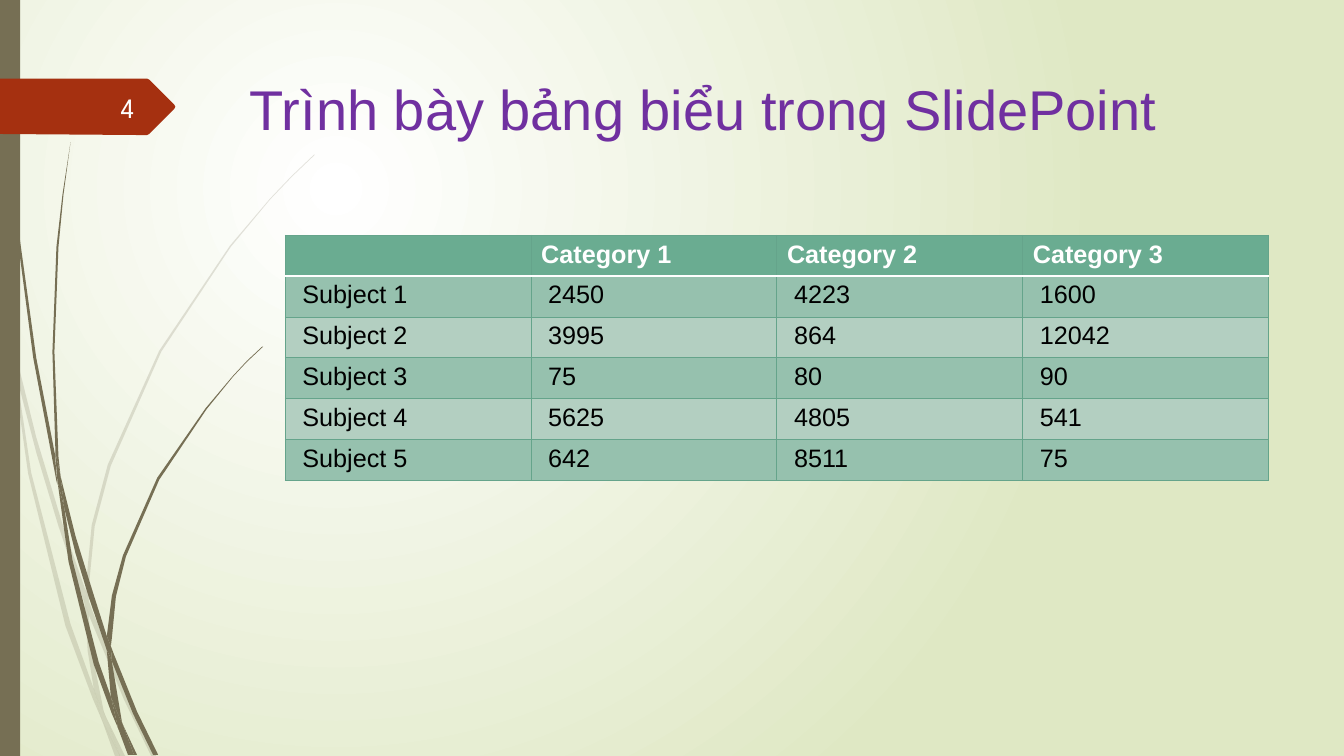
from dataclasses import dataclass

from lxml import etree
from pptx import Presentation
from pptx import util as u
from pptx.dml import color
from pptx.enum import shapes, text
from pptx.oxml import ns

GRID = 0.72  # points per step of the grid the outlines are drawn on
OLIVE, RED, PURPLE, WHITE, BLACK = "766F54", "A53010", "7030A0", "FFFFFF", "000000"
HEADER_GREEN, BAND_GREEN, PALE_GREEN, BORDER_GREEN = "6AAC91", "96C1AE", "B3CFC1", "65A48B"


@dataclass(frozen=True)
class Outline:
    points: list[tuple[int, int]]
    colour: str = OLIVE
    opacity: int = 100


@dataclass(frozen=True)
class Label:
    words: str
    left: float
    top: float
    width: float
    height: float
    font: str
    size: int
    colour: str
    align: text.PP_ALIGN = text.PP_ALIGN.LEFT
    anchor: text.MSO_ANCHOR = text.MSO_ANCHOR.TOP


@dataclass(frozen=True)
class Border:
    colour: str
    width: float


PALE_GRASS = [
    [(58, 522), (84, 599), (85, 586), (62, 520), (36, 434), (14, 345), (17, 376), (36, 449)],
    [(92, 607), (88, 596), (88, 610), (123, 694), (150, 750), (155, 750), (127, 692)],
    [(119, 750), (124, 750), (105, 711)],
    [(93, 683), (70, 619), (31, 469), (17, 376), (11, 350), (28, 470), (65, 621),
     (92, 693), (101, 714), (99, 707)],
    [(84, 599), (87, 646), (93, 683), (96, 692), (105, 711), (103, 706), (91, 646),
     (88, 610), (88, 608)],
    [(88, 584), (94, 522), (110, 462), (160, 349), (229, 245), (268, 198), (290, 175),
     (312, 154), (312, 153), (289, 175), (268, 197), (228, 244), (158, 348), (107, 461),
     (91, 521), (85, 584), (85, 586), (88, 596)],
    [(101, 714), (114, 750), (119, 750)],
    [(88, 608), (88, 610), (88, 596), (85, 586), (84, 599)],
    [(96, 692), (93, 683), (99, 707), (101, 714), (119, 750), (105, 711)],
]
DARK_GRASS = [
    [(7, 110), (17, 233), (33, 355), (56, 477), (57, 481), (55, 457), (55, 453), (36, 355),
     (19, 232), (8, 109), (5, 48), (4, 0), (3, 0), (4, 48)],
    [(88, 592), (106, 645), (106, 633), (106, 631), (93, 590), (75, 532), (60, 472),
     (64, 505), (75, 549)],
    [(113, 649), (110, 641), (111, 656), (132, 708), (152, 749), (157, 749), (136, 706)],
    [(110, 691), (98, 657), (72, 556), (64, 505), (57, 477), (68, 557), (93, 659),
     (111, 708), (117, 722), (116, 717)],
    [(60, 472), (58, 453), (54, 349), (58, 245), (63, 193), (70, 141), (62, 193),
     (56, 245), (52, 349), (55, 449)],
    [(133, 749), (136, 749), (122, 719)],
    [(57, 477), (64, 505), (60, 472), (55, 449), (55, 453)],
    [(111, 633), (115, 592), (125, 552), (158, 476), (205, 406), (231, 374), (245, 359),
     (261, 344), (260, 344), (245, 358), (231, 373), (204, 405), (156, 474), (122, 551),
     (111, 591), (106, 631), (110, 641)],
    [(117, 722), (127, 749), (131, 749)],
    [(106, 645), (110, 691), (116, 706), (122, 719), (121, 716), (111, 656), (109, 651)],
    [(106, 645), (109, 651), (111, 656), (110, 641), (106, 631), (106, 633)],
    [(116, 706), (110, 691), (116, 717), (117, 722), (130, 749), (133, 749), (122, 719)],
]
NUMBER_FLAG = [(173, 108), (148, 133), (146, 134), (136, 134), (0, 133), (0, 78), (136, 78),
               (146, 78), (148, 79), (173, 104), (174, 106)]
LABELS = [
    Label("Trình bày bảng biểu trong SlidePoint", 171.4, 49.7, 702, 100.8, "Arial", 40, PURPLE),
    Label("4", 41.8, 61.9, 61.2, 28.8, "League Spartan", 20, "FEFFFF",
          text.PP_ALIGN.RIGHT, text.MSO_ANCHOR.MIDDLE),
]
TABLE_ROWS = [
    ["", "Category 1", "Category 2", "Category 3"],
    ["Subject 1", "2450", "4223", "1600"],
    ["Subject 2", "3995", "864", "12042"],
    ["Subject 3", "75", "80", "90"],
    ["Subject 4", "5625", "4805", "541"],
    ["Subject 5", "642", "8511", "75"],
]
TABLE_LEFT, TABLE_TOP, COLUMN_WIDTH, ROW_HEIGHT = 203.8, 168, 175.6, 29.2
GRID_LINE, HEADER_LINE = Border(BORDER_GREEN, 0.75), Border(WHITE, 1.25)


def rgb(value: str) -> color.RGBColor:
    return color.RGBColor.from_string(value)


def paint_background(slide) -> None:
    """Fill the slide with a circular gradient centred in its upper left quarter."""
    fill = slide.background.fill
    fill.gradient()
    for stop, colour in zip(fill.gradient_stops, (WHITE, "DFE8C4")):
        stop.color.rgb = rgb(colour)
    gradient = next(slide.element.iter(ns.qn("a:gradFill")))
    gradient.remove(gradient.find(ns.qn("a:lin")))
    circle = etree.SubElement(gradient, ns.qn("a:path"), path="circle")
    etree.SubElement(circle, ns.qn("a:fillToRect"), l="50000", t="50000", r="100000", b="100000")


def style_shape(shape, colour: str, opacity: int = 100) -> None:
    shape.shadow.inherit = False
    shape.fill.solid()
    shape.fill.fore_color.rgb = rgb(colour)
    shape.line.fill.background()
    if opacity < 100:
        solid = next(shape.element.iter(ns.qn("a:srgbClr")))
        etree.SubElement(solid, ns.qn("a:alpha"), val=str(opacity * 1000))


def draw_outline(slide, outline: Outline) -> None:
    start, *others = [(u.Pt(x * GRID), u.Pt(y * GRID)) for x, y in outline.points]
    builder = slide.shapes.build_freeform(*start)
    builder.add_line_segments(others, close=True)
    style_shape(builder.convert_to_shape(), outline.colour, outline.opacity)


def draw_label(slide, label: Label) -> None:
    box = slide.shapes.add_textbox(
        u.Pt(label.left), u.Pt(label.top), u.Pt(label.width), u.Pt(label.height))
    frame = box.text_frame
    frame.word_wrap = True
    frame.vertical_anchor = label.anchor
    paragraph = frame.paragraphs[0]
    paragraph.text = label.words
    paragraph.alignment = label.align
    paragraph.font.name = label.font
    paragraph.font.size = u.Pt(label.size)
    paragraph.font.color.rgb = rgb(label.colour)


def set_borders(cell, top: Border, bottom: Border) -> None:
    properties = cell._tc.get_or_add_tcPr()
    sides = {"lnL": GRID_LINE, "lnR": GRID_LINE, "lnT": top, "lnB": bottom}
    for tag, border in sides.items():
        line = etree.SubElement(properties, ns.qn(f"a:{tag}"), w=str(u.Pt(border.width)))
        solid = etree.SubElement(line, ns.qn("a:solidFill"))
        etree.SubElement(solid, ns.qn("a:srgbClr"), val=border.colour)


def fill_cell(cell, words: str, row: int) -> None:
    is_header = row == 0
    set_borders(cell, HEADER_LINE if row == 1 else GRID_LINE,
                HEADER_LINE if is_header else GRID_LINE)
    cell.fill.solid()
    band = BAND_GREEN if row % 2 else PALE_GREEN
    cell.fill.fore_color.rgb = rgb(HEADER_GREEN if is_header else band)
    cell.margin_left = u.Pt(7.2 if is_header else 12.2)
    paragraph = cell.text_frame.paragraphs[0]
    paragraph.text = words
    paragraph.font.name = "Arial"
    paragraph.font.size = u.Pt(18)
    paragraph.font.bold = is_header
    paragraph.font.color.rgb = rgb(WHITE if is_header else BLACK)


def draw_table(slide) -> None:
    row_count, column_count = len(TABLE_ROWS), len(TABLE_ROWS[0])
    table = slide.shapes.add_table(
        row_count, column_count, u.Pt(TABLE_LEFT), u.Pt(TABLE_TOP),
        u.Pt(COLUMN_WIDTH * column_count), u.Pt(ROW_HEIGHT * row_count)).table
    for row, values in enumerate(TABLE_ROWS):
        for column, words in enumerate(values):
            fill_cell(table.cell(row, column), words, row)


def main() -> None:
    presentation = Presentation()
    presentation.slide_width, presentation.slide_height = u.Pt(960), u.Pt(540)
    slide = presentation.slides.add_slide(presentation.slide_layouts[6])
    paint_background(slide)
    for points in PALE_GRASS:
        draw_outline(slide, Outline(points, opacity=20))
    for points in DARK_GRASS:
        draw_outline(slide, Outline(points))
    side_bar = slide.shapes.add_shape(
        shapes.MSO_SHAPE.RECTANGLE, u.Pt(0), u.Pt(0), u.Pt(14.4), u.Pt(540))
    style_shape(side_bar, OLIVE)
    draw_outline(slide, Outline(NUMBER_FLAG, RED))
    draw_table(slide)
    for label in LABELS:
        draw_label(slide, label)
    presentation.save("out.pptx")


if __name__ == "__main__":
    main()
